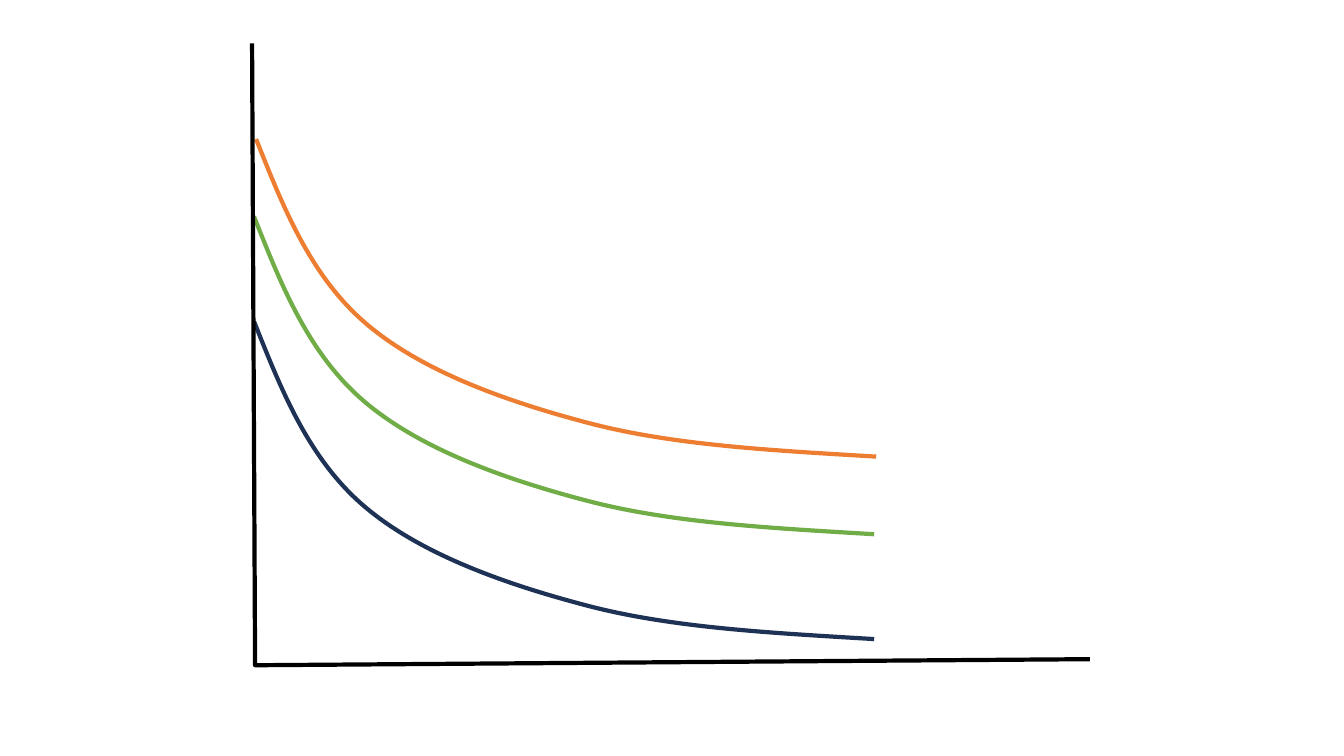
from pptx import Presentation
from pptx.dml.color import RGBColor
from pptx.oxml.ns import qn
from pptx.util import Inches, Pt
from lxml import etree

BLACK = RGBColor(0x00, 0x00, 0x00)
NAVY = RGBColor(0x1E, 0x32, 0x56)
GREEN = RGBColor(0x70, 0xAD, 0x47)
ORANGE = RGBColor(0xED, 0x7D, 0x31)

# Grid cells are a tenth of an inch wide and high.
CELL = Inches(0.1)
AXES = [(25, 4.3), (25.3, 66), (108.1, 65.4)]
# Two handles and an end point for each of three Bezier arcs, from the curve's start.
DECAY = [
    (2.7, 6.8), (5.4, 13.6), (10.9, 18.3),
    (16.4, 23), (24.7, 26), (33.1, 28.2),
    (41.5, 30.4), (51.5, 30.9), (61.5, 31.5),
]
CURVES = [((25.2, 31.9), NAVY), ((25.2, 21.5), GREEN), ((25.4, 13.8), ORANGE)]


class DecayDiagram:
    def __init__(self, page, line_width=Pt(3)):
        self.page = page
        self.line_width = line_width

    def add_polyline(self, points, color):
        start, *rest = [(round(x * CELL), round(y * CELL)) for x, y in points]
        builder = self.page.shapes.build_freeform(*start)
        builder.add_line_segments(rest, close=False)
        outline = builder.convert_to_shape()
        outline.shadow.inherit = False
        outline.fill.background()
        outline.line.color.rgb = color
        outline.line.width = self.line_width
        return outline

    def add_curve(self, start, color):
        """Draw the decay from start, turning each three segments into one Bezier arc."""
        left, top = start
        points = [start] + [(left + x, top + y) for x, y in DECAY]
        curve = self.add_polyline(points, color)
        segments = list(curve.element.iter(qn("a:lnTo")))
        for first in range(0, len(segments), 3):
            arc = etree.SubElement(segments[first].getparent(), qn("a:cubicBezTo"))
            for segment in segments[first:first + 3]:
                arc.append(segment[0])
                segment.getparent().remove(segment)


def main():
    deck = Presentation()
    deck.slide_width = Inches(13.33)
    deck.slide_height = Inches(7.5)
    diagram = DecayDiagram(deck.slides.add_slide(deck.slide_layouts[6]))
    for start, color in CURVES:
        diagram.add_curve(start, color)
    diagram.add_polyline(AXES, BLACK)
    deck.save("out.pptx")


if __name__ == "__main__":
    main()
